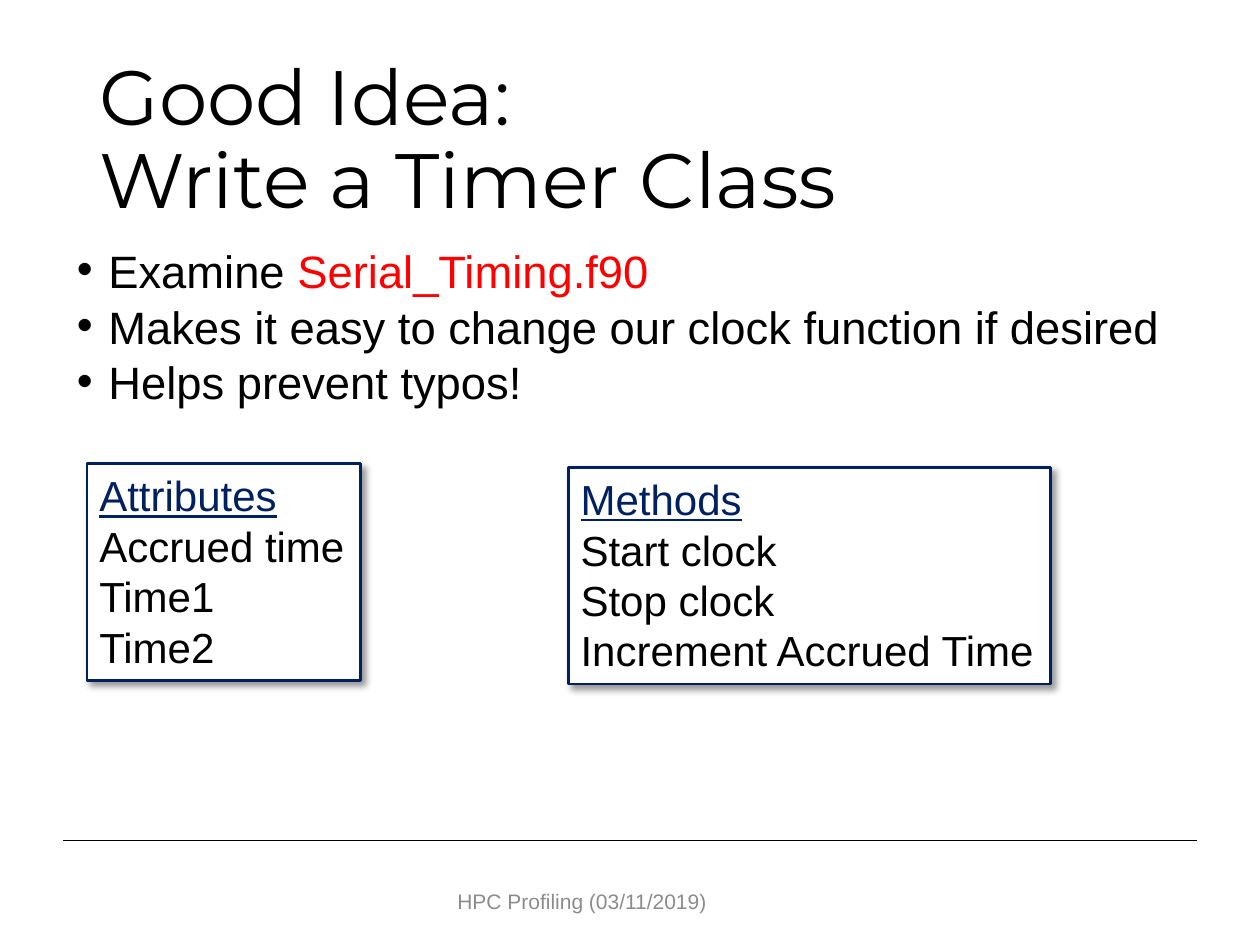
from lxml.etree import SubElement
from pptx import Presentation
from pptx.dml.color import RGBColor
from pptx.enum.shapes import MSO_CONNECTOR, MSO_SHAPE
from pptx.enum.text import MSO_ANCHOR, MSO_AUTO_SIZE, PP_ALIGN
from pptx.oxml.ns import qn
from pptx.util import Inches, Pt

BLACK = RGBColor(0x00, 0x00, 0x00)
WHITE = RGBColor(0xFF, 0xFF, 0xFF)
RED = RGBColor(0xFF, 0x00, 0x00)
NAVY = RGBColor(0x00, 0x20, 0x60)
GRAY = RGBColor(0x8C, 0x8C, 0x8C)


def place(shape, left, top, width, height):
    shape.left, shape.top = Inches(left), Inches(top)
    shape.width, shape.height = Inches(width), Inches(height)


def add_span(para, text, size, color=BLACK, font="Arial", underline=None):
    span = para.add_run()
    span.text = text
    span.font.size = Pt(size)
    span.font.name = font
    span.font.color.rgb = color
    span.font.underline = underline


def paragraphs(frame, count):
    """Return count paragraphs, the first being the one already there."""
    return [frame.paragraphs[0]] + [frame.add_paragraph() for _ in range(count - 1)]


def fill_title(title, lines):
    place(title, 0.69, 0.4, 8.9, 1.45)
    frame = title.text_frame
    frame.auto_size = MSO_AUTO_SIZE.NONE
    frame.vertical_anchor = MSO_ANCHOR.MIDDLE
    para = frame.paragraphs[0]
    para.alignment = PP_ALIGN.LEFT
    para.line_spacing = 0.9
    for number, line in enumerate(lines):
        if number:
            para.add_line_break()
        add_span(para, line, 44, font="Montserrat")


def fill_bullets(body, items):
    """Each item is a list of (text, color) spans."""
    place(body, 0.51, 2, 9.25, 1.4)
    frame = body.text_frame
    frame.auto_size = MSO_AUTO_SIZE.NONE
    for para, spans in zip(paragraphs(frame, len(items)), items):
        para.line_spacing = 0.7
        para.space_before = Pt(10)
        properties = para._p.get_or_add_pPr()
        properties.set("marL", str(Inches(0.25)))
        properties.set("indent", str(Inches(-0.25)))
        SubElement(properties, qn("a:buFont"), typeface="Arial")
        SubElement(properties, qn("a:buChar"), char="•")
        for text, color in spans:
            add_span(para, text, 25.9, color)


def add_shadow(shape):
    shape.shadow.inherit = False
    effects = shape._element.spPr.find(qn("a:effectLst"))
    shadow = SubElement(effects, qn("a:outerShdw"), blurRad=str(Pt(4)),
                        dist=str(Pt(3)), dir=str(45 * 60000), rotWithShape="0")
    color = SubElement(shadow, qn("a:srgbClr"), val=str(BLACK))
    SubElement(color, qn("a:alpha"), val="40000")


def add_class_box(page, left, top, width, heading, members):
    box = page.shapes.add_shape(MSO_SHAPE.RECTANGLE, Inches(left), Inches(top),
                                Inches(width), Inches(1.72))
    box.fill.solid()
    box.fill.fore_color.rgb = WHITE
    box.line.color.rgb = NAVY
    box.line.width = Pt(1.5)
    add_shadow(box)
    frame = box.text_frame
    frame.word_wrap = False
    frame.auto_size = MSO_AUTO_SIZE.SHAPE_TO_FIT_TEXT
    frame.vertical_anchor = MSO_ANCHOR.TOP
    first, *others = paragraphs(frame, 1 + len(members))
    add_span(first, heading, 24, NAVY, underline=True)
    for para, member in zip(others, members):
        add_span(para, member, 24)
    for para in frame.paragraphs:
        para.alignment = PP_ALIGN.LEFT


def add_footer(page, text):
    rule = page.shapes.add_connector(MSO_CONNECTOR.STRAIGHT, Inches(0.5),
                                     Inches(6.67), Inches(9.5), Inches(6.67))
    rule.line.color.rgb = BLACK
    rule.line.width = Pt(0.5)
    SubElement(rule._element.spPr, qn("a:effectLst"))
    box = page.shapes.add_textbox(Inches(3.29), Inches(6.95), Inches(2.66), Inches(0.4))
    frame = box.text_frame
    frame.word_wrap = True
    frame.vertical_anchor = MSO_ANCHOR.MIDDLE
    para = frame.paragraphs[0]
    para.alignment = PP_ALIGN.CENTER
    add_span(para, text, 12, GRAY)


def main():
    deck = Presentation()
    deck.slide_width, deck.slide_height = Inches(10), Inches(7.5)
    page = deck.slides.add_slide(deck.slide_layouts[1])
    fill_title(page.shapes.title, ["Good Idea:", "Write a Timer Class"])
    fill_bullets(page.placeholders[1], [
        [("Examine ", BLACK), ("Serial_Timing.f90", RED)],
        [("Makes it easy to change our clock function if desired", BLACK)],
        [("Helps prevent typos!", BLACK)],
    ])
    add_class_box(page, 0.69, 3.68, 2.17, "Attributes",
                  ["Accrued time", "Time1", "Time2"])
    add_class_box(page, 4.51, 3.71, 3.83, "Methods",
                  ["Start clock", "Stop clock", "Increment Accrued Time"])
    add_footer(page, "HPC Profiling (03/11/2019)")
    deck.save("out.pptx")


if __name__ == "__main__":
    main()
